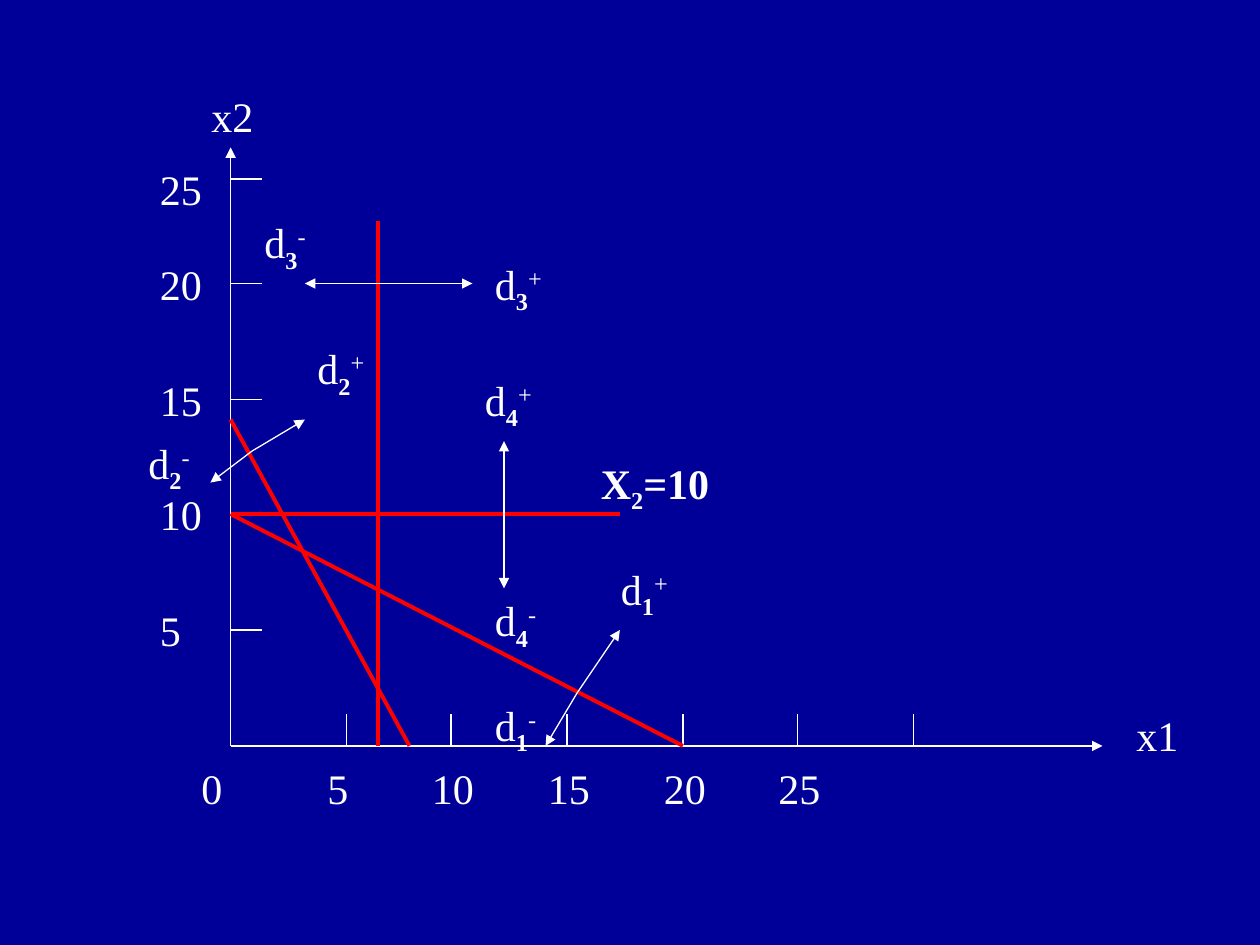
from dataclasses import dataclass
from lxml.etree import SubElement
from pptx import Presentation
from pptx.dml.color import RGBColor as RGB
from pptx.enum.shapes import MSO_CONNECTOR as LINK
from pptx.enum.text import MSO_AUTO_SIZE as FIT
from pptx.oxml.ns import qn
from pptx.slide import Slide
from pptx.util import Inches, Pt

HUES = {"back": "000099", "ink": "FFFFFF", "goal": "FF0000"}
LEFT, BASE, TICK = 1.83, 5.92, 0.25


def hue(name):
    return RGB.from_string(HUES[name])


def write(para, text, font="Times New Roman", size=24, color="ink", bold=False, shift=0):
    run = para.add_run()
    run.text = text
    run.font.name = font
    run.font.size = Pt(size)
    run.font.bold = bold
    run.font.color.rgb = hue(color)
    if shift:
        run.font._element.set("baseline", str(shift * 1000))


@dataclass
class Plot:
    slide: Slide
    thin: float = 0.75
    thick: float = 2.25

    def line(self, start, end, color="ink", width=None, arrow=False):
        ends = [Inches(v) for v in (*start, *end)]
        link = self.slide.shapes.add_connector(LINK.STRAIGHT, *ends)
        link.line.color.rgb = hue(color)
        link.line.width = Pt(width or self.thin)
        if arrow:
            SubElement(link.line._get_or_add_ln(), qn("a:tailEnd"), type="triangle")
        SubElement(link._element.spPr, qn("a:effectLst"))

    def arrow(self, start, end):
        self.line(start, end, arrow=True)

    def goal(self, start, end):
        self.line(start, end, color="goal", width=self.thick)

    def label(self, left, top, width, *parts, height=0.5):
        box = self.slide.shapes.add_textbox(*map(Inches, (left, top, width, height)))
        frame = box.text_frame
        frame.word_wrap = True
        frame.auto_size = FIT.SHAPE_TO_FIT_TEXT
        for text, style in parts:
            write(frame.paragraphs[0], text, **style)

    def plain(self, left, top, width, text):
        self.label(left, top, width, (text, {}))

    def drift(self, left, top, sub, sign, width=0.75):
        low = {"bold": True, "shift": -25}
        self.label(left, top, width, ("d", {}), (sub, low), (sign, {"shift": 30}), height=0.56)


def main():
    deck = Presentation()
    deck.slide_width, deck.slide_height = Inches(10), Inches(7.5)
    slide = deck.slides.add_slide(deck.slide_layouts[6])
    fill = slide.background.fill
    fill.solid()
    fill.fore_color.rgb = hue("back")
    plot = Plot(slide)

    plot.arrow((LEFT, BASE), (8.75, BASE))
    plot.arrow((LEFT, BASE), (LEFT, 1.17))
    plot.plain(8.92, 5.58, 0.58, "x1")
    plot.plain(1.58, 0.67, 0.67, "x2")
    plot.plain(1.5, 6, 0.42, "0")

    for x in (2.75, 3.58, 4.5, 5.42, 6.33, 7.25):
        plot.line((x, BASE), (x, BASE - TICK))
    for y in (5, 4.08, 3.17, 2.25, 1.42):
        plot.line((LEFT, y), (LEFT + TICK, y))
    cols = ((2.5, 0.67), (3.33, 0.67), (4.25, 0.75), (5.17, 0.75), (6.08, 0.58))
    rows = ((4.75, 0.67), (3.83, 0.75), (2.92, 0.58), (2, 0.67), (1.25, 0.67))
    for step, ((x, wide), (y, span)) in enumerate(zip(cols, rows), 1):
        plot.plain(x, 6, wide, str(5 * step))
        plot.plain(1.17, y, span, str(5 * step))

    for start, end in (
        ((LEFT, 4.08), (5.42, BASE)),
        ((LEFT, 3.33), (3.25, BASE)),
        ((3, BASE), (3, 1.75)),
        ((LEFT, 4.08), (4.92, 4.08)),
    ):
        plot.goal(start, end)

    for mid, *tips in (
        ((4.58, 5.5), (4.92, 5), (4.33, BASE)),
        ((2, 3.58), (2.42, 3.33), (1.67, 3.83)),
        ((3, 2.25), (3.75, 2.25), (2.42, 2.25)),
        ((4, 4.08), (4, 3.5), (4, 4.67)),
    ):
        for tip in tips:
            plot.arrow(mid, tip)

    plot.drift(4.83, 4.42, "1", "+")
    plot.drift(3.83, 5.5, "1", "-")
    plot.drift(2.42, 2.67, "2", "+")
    plot.drift(1.08, 3.42, "2", "-", width=0.67)
    plot.drift(3.83, 2, "3", "+")
    plot.drift(2, 1.67, "3", "-")
    plot.drift(3.75, 2.92, "4", "+")
    plot.drift(3.83, 4.67, "4", "-")
    bold = {"bold": True}
    plot.label(4.67, 3.58, 1.17, ("X", bold), ("2", {**bold, "shift": -25}), ("=10", bold), height=0.56)

    deck.save("out.pptx")


if __name__ == "__main__":
    main()
